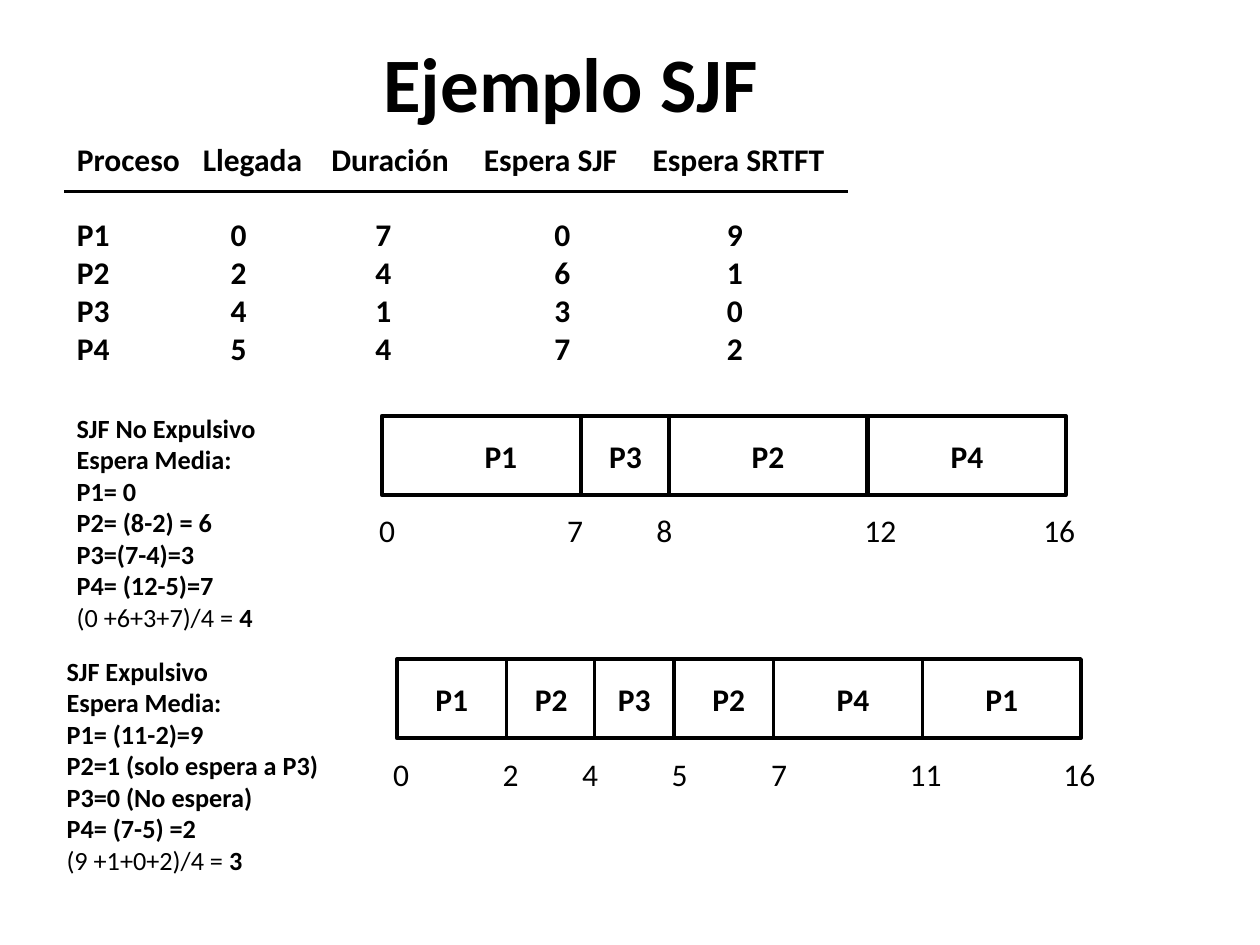
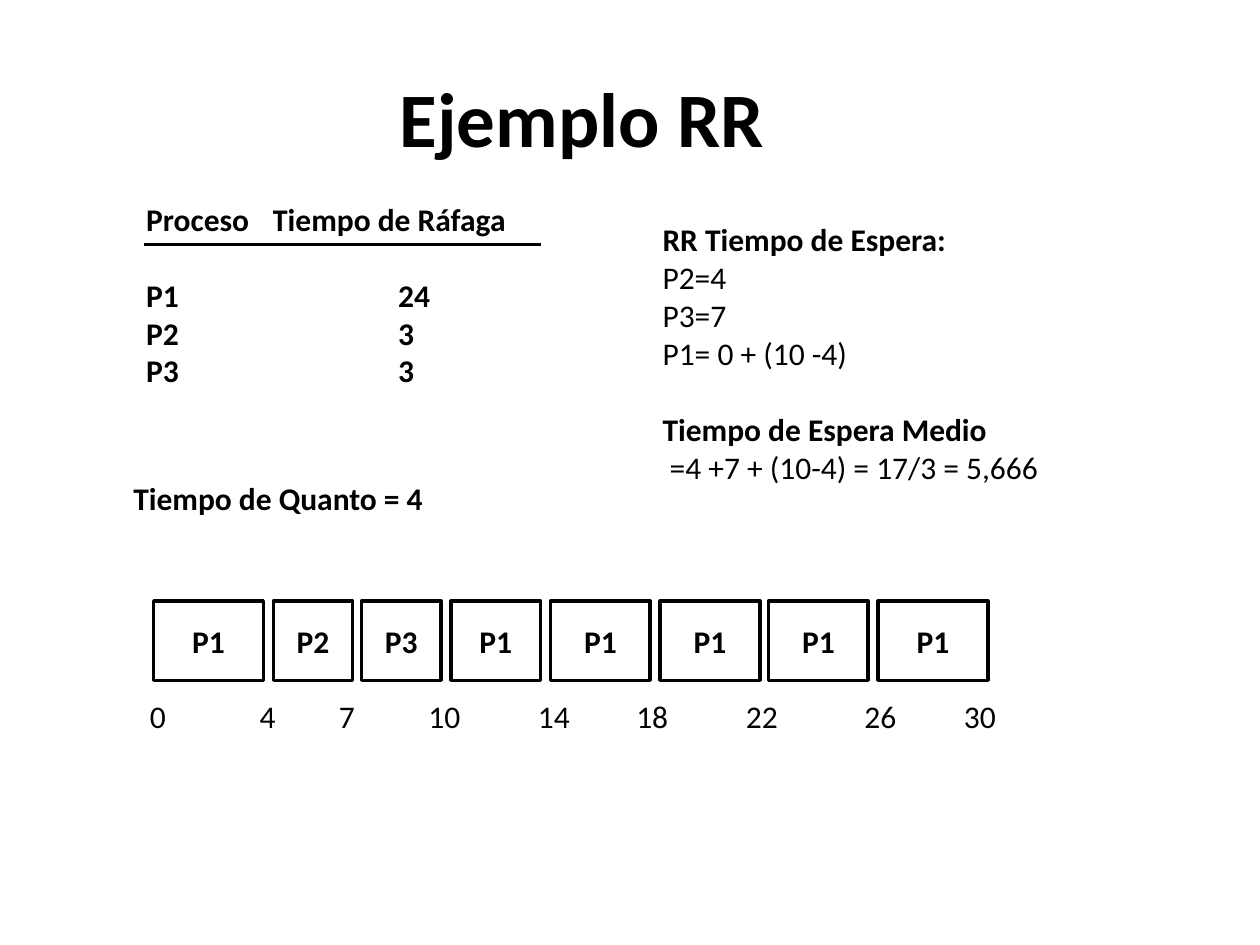
from dataclasses import dataclass
from typing import Any, NamedTuple

from lxml import etree
from pptx import Presentation
from pptx import util as u
from pptx.dml.color import RGBColor
from pptx.enum import shapes, text
from pptx.oxml.ns import qn

Inches = u.Inches


@dataclass(frozen=True)
class Theme:
    font: str = "Calibri"
    ink: RGBColor = RGBColor(0x00, 0x00, 0x00)
    paper: RGBColor = RGBColor(0xFF, 0xFF, 0xFF)
    title: int = 44
    body: int = 18
    notes: int = 15
    blank_line: int = 22
    rule: float = 1.75
    bar_outline: float = 2
    row: float = 0.3
    header_row: float = 0.6
    bar_height: float = 0.63
    marks_drop: float = 0.71


THEME = Theme()


class Run(NamedTuple):
    text: str
    bold: bool = False


class Line(NamedTuple):
    runs: tuple[Run, ...]
    gap_before: float = 0


class Box(NamedTuple):
    left: float
    top: float
    width: float
    height: float

    def emu(self) -> list[u.Length]:
        return [Inches(side) for side in self]


class Column(NamedTuple):
    header: str
    left: float
    value_indent: float = 0


class Bar(NamedTuple):
    process: str
    left: float
    width: float


class Mark(NamedTuple):
    time: int
    left: float


@dataclass(frozen=True)
class ProcessTable:
    top: float
    right: float
    columns: tuple[Column, ...]
    rows: tuple[tuple[str, ...], ...]
    rule_left: float
    rule_top: float


@dataclass(frozen=True)
class Timeline:
    top: float
    bars: tuple[Bar, ...]
    marks: tuple[Mark, ...]


@dataclass(frozen=True)
class TextBlock:
    box: Box
    lines: tuple[Line, ...]
    size: int = THEME.body


@dataclass(frozen=True)
class Example:
    title: str
    title_box: Box
    table: ProcessTable
    timelines: tuple[Timeline, ...]
    blocks: tuple[TextBlock, ...]


def strong(content: str, gap_before: float = 0) -> Line:
    return Line((Run(content, True),), gap_before)


def plain(content: str) -> Line:
    return Line((Run(content),))


def waiting_block(box: Box, steps: tuple[str, ...], total: str, mean: str) -> TextBlock:
    """Bold working lines, closed by the mean waiting time."""
    closing = Line((Run(total), Run(mean, True)))
    return TextBlock(box, (*map(strong, steps), closing), THEME.notes)


def apply(target: Any, values: dict[str, Any]) -> None:
    for attribute, value in values.items():
        setattr(target, attribute, value)


def write(frame: Any, lines: tuple[Line, ...], size: int = THEME.body,
          align: Any = text.PP_ALIGN.LEFT, **frame_format: Any) -> None:
    apply(frame, {"word_wrap": True, **frame_format})
    for index, line in enumerate(lines):
        paragraph = frame.add_paragraph() if index else frame.paragraphs[0]
        apply(paragraph, {"alignment": align, "space_before": u.Pt(line.gap_before)})
        for part in line.runs:
            run = paragraph.add_run()
            run.text = part.text
            apply(run.font, {"name": THEME.font, "size": u.Pt(size), "bold": part.bold})
            run.font.color.rgb = THEME.ink


def draw_text(slide: Any, block: TextBlock, **options: Any) -> None:
    frame = slide.shapes.add_textbox(*block.box.emu()).text_frame
    write(frame, block.lines, block.size, **options)


def draw_rule(slide: Any, left: float, right: float, top: float) -> None:
    rule = slide.shapes.add_connector(shapes.MSO_CONNECTOR.STRAIGHT, Inches(left),
                                      Inches(top), Inches(right), Inches(top))
    rule.line.color.rgb = THEME.ink
    rule.line.width = u.Pt(THEME.rule)
    etree.SubElement(rule._element.spPr, qn("a:effectLst"))


def draw_table(slide: Any, spec: ProcessTable) -> None:
    edges = [column.left for column in spec.columns] + [spec.right]
    box = Box(edges[0], spec.top, spec.right - edges[0],
              THEME.header_row + THEME.row * len(spec.rows))
    table = slide.shapes.add_table(len(spec.rows) + 1, len(spec.columns), *box.emu()).table
    apply(table, {"first_row": False, "horz_banding": False})
    for index, row in enumerate(table.rows):
        row.height = Inches(THEME.row if index else THEME.header_row)

    for index, column in enumerate(spec.columns):
        table.columns[index].width = Inches(edges[index + 1] - edges[index])
        contents = [column.header, *(row[index] for row in spec.rows)]
        for row_index, content in enumerate(contents):
            cell = table.cell(row_index, index)
            indent = column.value_indent if row_index else 0
            apply(cell, {"margin_left": Inches(indent), "margin_right": 0,
                         "margin_top": 0, "margin_bottom": 0,
                         "vertical_anchor": text.MSO_ANCHOR.TOP})
            cell.fill.background()
            write(cell.text_frame, (strong(content),))
    draw_rule(slide, spec.rule_left, spec.right, spec.rule_top)


def draw_timeline(slide: Any, spec: Timeline) -> None:
    for bar in spec.bars:
        box = Box(bar.left, spec.top, bar.width, THEME.bar_height)
        slot = slide.shapes.add_shape(shapes.MSO_SHAPE.RECTANGLE, *box.emu())
        slot.shadow.inherit = False
        slot.fill.solid()
        slot.fill.fore_color.rgb = THEME.paper
        slot.line.color.rgb = THEME.ink
        slot.line.width = u.Pt(THEME.bar_outline)
        write(slot.text_frame, (strong(bar.process),), align=text.PP_ALIGN.CENTER,
              vertical_anchor=text.MSO_ANCHOR.MIDDLE)
    for mark in spec.marks:
        box = Box(mark.left, spec.top + THEME.marks_drop, 0.71, 0.4)
        draw_text(slide, TextBlock(box, (plain(str(mark.time)),)), margin_left=Inches(0.21))


def draw_example(deck: Any, example: Example) -> None:
    slide = deck.slides.add_slide(deck.slide_layouts[6])
    title = TextBlock(example.title_box, (strong(example.title),), THEME.title)
    draw_text(slide, title, align=text.PP_ALIGN.CENTER, vertical_anchor=text.MSO_ANCHOR.MIDDLE)
    draw_table(slide, example.table)
    for timeline in example.timelines:
        draw_timeline(slide, timeline)
    for block in example.blocks:
        draw_text(slide, block)


# Shortest job first, without and with preemption
SJF = Example(
    title="Ejemplo SJF",
    title_box=Box(0.03, 0.02, 9, 1.25),
    table=ProcessTable(
        top=1.12, right=6.73, rule_left=0.51, rule_top=1.52,
        columns=(Column("Proceso", 0.61), Column("Llegada", 1.61, 0.22),
                 Column("Duración", 2.63, 0.35), Column("Espera SJF", 3.84, 0.56),
                 Column("Espera SRTFT", 5.18, 0.59)),
        rows=(("P1", "0", "7", "0", "9"), ("P2", "2", "4", "6", "1"),
              ("P3", "4", "1", "3", "0"), ("P4", "5", "4", "7", "2")),
    ),
    timelines=(
        Timeline(
            top=3.3,
            bars=(Bar("P1", 3.03, 1.89), Bar("P3", 4.61, 0.71),
                  Bar("P2", 5.31, 1.57), Bar("P4", 6.89, 1.57)),
            marks=(Mark(0, 2.8), Mark(7, 4.29), Mark(8, 5), Mark(12, 6.65), Mark(16, 8.07)),
        ),
        Timeline(
            top=5.23,
            bars=(Bar("P1", 3.15, 0.87), Bar("P2", 4.02, 0.71), Bar("P3", 4.72, 0.63),
                  Bar("P2", 5.35, 0.87), Bar("P4", 6.14, 1.26), Bar("P1", 7.32, 1.26)),
            marks=(Mark(0, 2.91), Mark(2, 3.78), Mark(4, 4.41), Mark(5, 5.12),
                   Mark(7, 5.91), Mark(11, 7.01), Mark(16, 8.23)),
        ),
    ),
    blocks=(
        waiting_block(Box(0.51, 3.22, 2.05, 1.87),
                      ("SJF No Expulsivo", "Espera Media:", "P1= 0", "P2= (8-2) = 6",
                       "P3=(7-4)=3", "P4= (12-5)=7"), "(0 +6+3+7)/4 = ", "4"),
        waiting_block(Box(0.43, 5.15, 2.68, 1.87),
                      ("SJF Expulsivo", "Espera Media:", "P1= (11-2)=9",
                       "P2=1 (solo espera a P3)", "P3=0 (No espera)", "P4= (7-5) =2"),
                      "(9 +1+0+2)/4 = ", "3"),
    ),
)

# Round robin with a fixed quantum
RR = Example(
    title="Ejemplo RR",
    title_box=Box(0.12, 0.3, 9, 1.25),
    table=ProcessTable(
        top=1.6, right=4.29, rule_left=1.14, rule_top=1.94,
        columns=(Column("Proceso", 1.16), Column("Tiempo de Ráfaga", 2.16, 1)),
        rows=(("P1", "24"), ("P2", "3"), ("P3", "3")),
    ),
    timelines=(
        Timeline(
            top=4.77,
            bars=(Bar("P1", 1.22, 0.87), Bar("P2", 2.17, 0.63), Bar("P3", 2.87, 0.63),
                  Bar("P1", 3.58, 0.71), Bar("P1", 4.37, 0.79), Bar("P1", 5.24, 0.79),
                  Bar("P1", 6.1, 0.79), Bar("P1", 6.97, 0.87)),
            marks=(Mark(0, 0.98), Mark(4, 1.85), Mark(7, 2.48), Mark(10, 3.19),
                   Mark(14, 4.06), Mark(18, 4.84), Mark(22, 5.71), Mark(26, 6.65),
                   Mark(30, 7.44)),
        ),
    ),
    blocks=(
        TextBlock(Box(5.16, 1.7, 3.31, 2.22),
                  (strong("RR Tiempo de Espera:"), plain("P2=4"), plain("P3=7"),
                   plain("P1= 0 + (10 -4)"),
                   strong("Tiempo de Espera Medio", THEME.blank_line),
                   plain(" =4 +7 + (10-4) = 17/3 = 5,666"))),
        TextBlock(Box(0.96, 3.75, 2.6, 0.4), (strong("Tiempo de Quanto = 4"),)),
    ),
)


def main() -> None:
    deck = Presentation()
    apply(deck, {"slide_width": Inches(10), "slide_height": Inches(7.5)})
    for example in (SJF, RR):
        draw_example(deck, example)
    deck.save("out.pptx")


if __name__ == "__main__":
    main()
